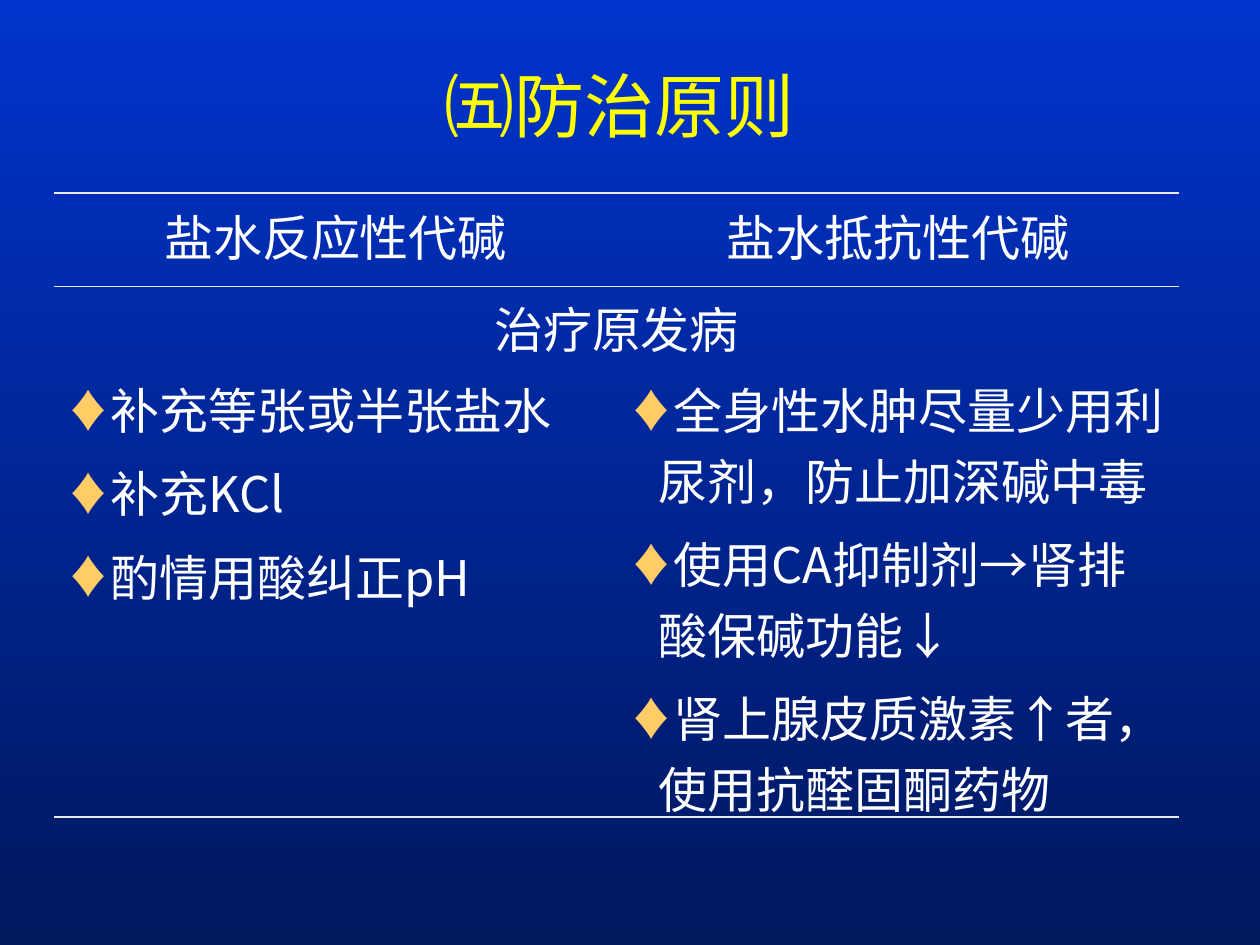
import pptx
import pptx.dml.color
import pptx.enum.text
import pptx.oxml.ns
import pptx.util
from lxml import etree

PX = 914400 // 126
PP_ALIGN = pptx.enum.text.PP_ALIGN
ANCHOR = pptx.enum.text.MSO_ANCHOR


def px(n):
    return pptx.util.Emu(n * PX)


def rgb(hex_color):
    return pptx.dml.color.RGBColor.from_string(hex_color)


def sub(parent, tag, **attrs):
    return etree.SubElement(parent, pptx.oxml.ns.qn(tag), attrs)


def write(p, text, size=28, color="FFFFFF", font="Times New Roman",
          align=None, before=0):
    p.alignment = align
    p.space_before = pptx.util.Pt(before)
    r = p.add_run()
    r.text = text
    r.font.size = pptx.util.Pt(size)
    r.font.name = font
    r.font.color.rgb = rgb(color)
    sub(r.font._element, "a:ea", typeface=Deck.CJK)


class Deck:
    CJK = "Noto Sans CJK SC"
    TITLE, BULLET, RULE = "FFFF00", "FFCC66", "EAEAEA"
    THICK, THIN = 1.08, 0.45

    def __init__(self):
        self.prs = pptx.Presentation()
        self.prs.slide_width, self.prs.slide_height = px(1260), px(945)
        self.s = self.prs.slides.add_slide(self.prs.slide_layouts[6])

    def background(self, top, bottom):
        fill = self.s.background.fill
        fill.gradient()
        fill.gradient_angle = 270
        for stop, color, at in zip(fill.gradient_stops, (top, bottom), (0, 1)):
            stop.color.rgb = rgb(color)
            stop.position = at

    def title(self, text, x, y, w, h):
        tf = self.s.shapes.add_textbox(px(x), px(y), px(w), px(h)).text_frame
        tf.word_wrap = True
        tf.vertical_anchor = ANCHOR.MIDDLE
        write(tf.paragraphs[0], text, size=40, color=self.TITLE,
              align=PP_ALIGN.CENTER)

    def table(self, x, y, cols, rows):
        tbl = self.s.shapes.add_table(len(rows), len(cols), px(x), px(y),
                                      px(sum(cols)), px(sum(rows))).table
        tbl.first_row = tbl.horz_banding = False
        for col, w in zip(tbl.columns, cols):
            col.width = px(w)
        for row, h in zip(tbl.rows, rows):
            row.height = px(h)
        return tbl

    def borders(self, cell, top=0, bottom=0):
        tcPr = cell._tc.get_or_add_tcPr()
        for side, width in zip("LRTB", (0, 0, top, bottom)):
            ln = sub(tcPr, f"a:ln{side}", w=str(int(width * 12700)))
            if width:
                sub(sub(ln, "a:solidFill"), "a:srgbClr", val=self.RULE)
            else:
                sub(ln, "a:noFill")
        cell.fill.background()

    def heading(self, cell, text):
        write(cell.text_frame.paragraphs[0], text, align=PP_ALIGN.CENTER,
              before=7)

    def bullets(self, cell, items):
        tf = cell.text_frame
        for i, text in enumerate(items):
            p = tf.add_paragraph() if i else tf.paragraphs[0]
            write(p, text, font=self.CJK, before=7)
            pPr = p._p.get_or_add_pPr()
            pPr.set("marL", str(px(29)))
            pPr.set("indent", str(-px(29)))
            sub(sub(pPr, "a:buClr"), "a:srgbClr", val=self.BULLET)
            sub(pPr, "a:buSzPct", val="90000")
            sub(pPr, "a:buFont", typeface=self.CJK)
            sub(pPr, "a:buChar", char="♦")


def main():
    deck = Deck()
    deck.background("0033CC", "00185E")
    deck.title("㈤防治原则", 84, 26, 1071, 158)

    # Table grid and horizontal rules
    tbl = deck.table(54, 193, cols=(563, 562), rows=(93, 81, 450))
    rules = ((deck.THICK, deck.THIN), (deck.THIN, 0), (0, deck.THICK))
    for row, (top, bottom) in zip(tbl.rows, rules):
        for cell in row.cells:
            deck.borders(cell, top, bottom)

    # Shared treatment across both columns
    tbl.cell(1, 0).merge(tbl.cell(1, 1))
    deck.heading(tbl.cell(1, 0), "治疗原发病")

    # One column for each type of alkalosis
    columns = (
        ("盐水反应性代碱",
         ("补充等张或半张盐水", "补充KCl", "酌情用酸纠正pH")),
        ("盐水抵抗性代碱",
         ("全身性水肿尽量少用利尿剂，防止加深碱中毒",
          "使用CA抑制剂→肾排酸保碱功能↓",
          "肾上腺皮质激素↑者，使用抗醛固酮药物")),
    )
    for c, (name, items) in enumerate(columns):
        deck.heading(tbl.cell(0, c), name)
        deck.bullets(tbl.cell(2, c), items)

    deck.prs.save("out.pptx")


if __name__ == "__main__":
    main()
